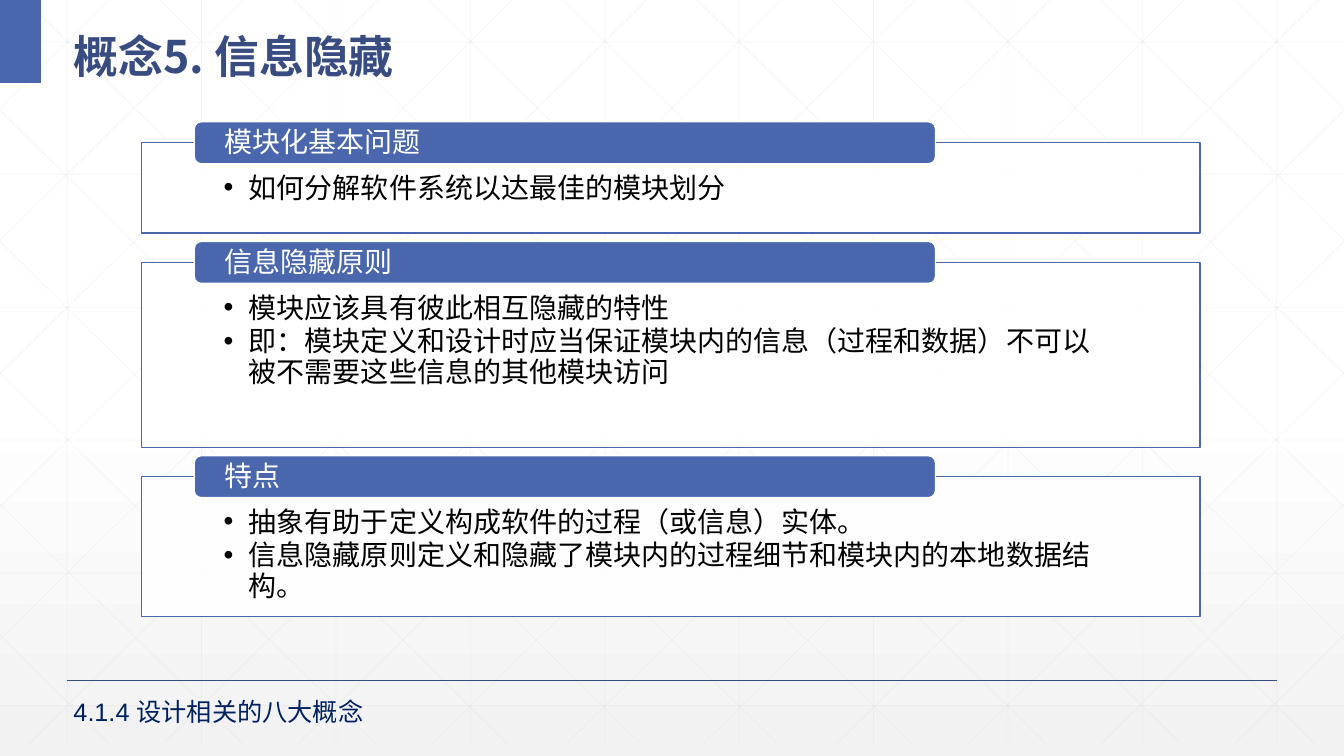
from lxml.etree import SubElement
from pptx import Presentation
from pptx.dml.color import RGBColor
from pptx.enum.shapes import MSO_CONNECTOR, MSO_SHAPE
from pptx.enum.text import MSO_ANCHOR, PP_ALIGN
from pptx.oxml.ns import qn
from pptx.util import Pt

PX = 9525
WIDTH, HEIGHT = 1280, 720
GRID_BOTTOM = 708
SLOPE = 708 / 716

WHITE = RGBColor(0xFF, 0xFF, 0xFF)
BLACK = RGBColor(0x00, 0x00, 0x00)
PALE_GREY = RGBColor(0xF2, 0xF2, 0xF2)
GRID_GREY = RGBColor(0xD9, 0xD9, 0xD9)
BLUE = RGBColor(0x4A, 0x66, 0xAC)
DARK_BLUE = RGBColor(0x38, 0x4C, 0x81)
NAVY = RGBColor(0x00, 0x20, 0x60)

LATIN_FONT = "Arial"
CHINESE_FONT = "Noto Sans CJK SC"


def draw_line(shapes, start, end, color, width, alpha=100):
    """Draw a straight line without shadow; alpha is the opacity in percent."""
    points = [round(value) * PX for value in (*start, *end)]
    line = shapes.add_connector(MSO_CONNECTOR.STRAIGHT, *points)
    line.line.color.rgb = color
    line.line.width = Pt(width)
    properties = line._element.spPr
    if alpha < 100:
        tint = properties.find(".//" + qn("a:srgbClr"))
        SubElement(tint, qn("a:alpha"), val=str(alpha * 1000))
    SubElement(properties, qn("a:effectLst"))


def write_text(box, text, *, size, color, font=LATIN_FONT, bold=False, spacing=None,
               insets=(10, 5, 10, 5), anchor=MSO_ANCHOR.MIDDLE, bullets=False):
    """Fill a box with one paragraph per line; insets are left, top, right, bottom."""
    frame = box.text_frame
    frame.word_wrap = True
    frame.vertical_anchor = anchor
    (frame.margin_left, frame.margin_top,
     frame.margin_right, frame.margin_bottom) = [inset * PX for inset in insets]
    for index, content in enumerate(text.split("\n")):
        para = frame.add_paragraph() if index else frame.paragraphs[0]
        para.alignment = PP_ALIGN.LEFT
        para.line_spacing = spacing or Pt(round(size * 1.1))
        if bullets:
            para.space_after = Pt(2)
            properties = para._p.get_or_add_pPr()
            properties.set("marL", str(24 * PX))
            properties.set("indent", str(-24 * PX))
            SubElement(properties, qn("a:buFont"), typeface=LATIN_FONT)
            SubElement(properties, qn("a:buChar"), char="•")
        span = para.add_run()
        span.text = content
        span.font.size = Pt(size)
        span.font.bold = bold
        span.font.color.rgb = color
        span.font.name = font
        SubElement(span._r.get_or_add_rPr(), qn("a:ea"), typeface=CHINESE_FONT)


deck = Presentation()
deck.slide_width, deck.slide_height = WIDTH * PX, HEIGHT * PX
page = deck.slides.add_slide(deck.slide_layouts[6])

# Background
backdrop = page.background.fill
backdrop.gradient()
backdrop.gradient_angle = 270
for stop, (position, color) in zip(backdrop.gradient_stops, [(0.53, WHITE), (1, PALE_GREY)]):
    stop.position = position
    stop.color.rgb = color

# Faint grid: verticals, horizontals, then diagonals with their mirror images
grid_lines = [((x, 0), (x, GRID_BOTTOM)) for x in range(64, WIDTH, 128)]
grid_lines += [((0, 40 + 126.4 * row), (WIDTH, 40 + 126.4 * row)) for row in range(6)]
diagonal_starts = [(x, 0) for x in range(24, WIDTH, 128)]
diagonal_starts += [(0, y) for y in range(105, GRID_BOTTOM, 125)]
for x, y in diagonal_starts:
    run = min(WIDTH - x, (GRID_BOTTOM - y) / SLOPE)
    end_x, end_y = x + run, y + run * SLOPE
    grid_lines += [((x, y), (end_x, end_y)), ((WIDTH - x, y), (WIDTH - end_x, end_y))]
grid = page.shapes.add_group_shape()
for start, end in grid_lines:
    draw_line(grid.shapes, start, end, GRID_GREY, 0.5, alpha=25)

# Title and footer rule
draw_line(page.shapes, (64, 648), (1216, 648), DARK_BLUE, 1)
corner = page.shapes.add_shape(MSO_SHAPE.RECTANGLE, 0, 0, 39 * PX, 79 * PX)
corner.shadow.inherit = False
corner.fill.solid()
corner.fill.fore_color.rgb = BLUE
corner.line.fill.background()
title = page.shapes.add_textbox(60 * PX, 10 * PX, 1192 * PX, 70 * PX)
write_text(title, "概念5. 信息隐藏", size=32, color=DARK_BLUE, font=CHINESE_FONT,
           bold=True, spacing=1.3)

# Panels, each with a heading bar over its top edge
sections = [
    ("模块化基本问题", 86, "如何分解软件系统以达最佳的模块划分"),
    ("信息隐藏原则", 176,
     "模块应该具有彼此相互隐藏的特性\n"
     "即：模块定义和设计时应当保证模块内的信息（过程和数据）不可以被不需要这些信息的其他模块访问"),
    ("特点", 133,
     "抽象有助于定义构成软件的过程（或信息）实体。\n"
     "信息隐藏原则定义和隐藏了模块内的过程细节和模块内的本地数据结构。"),
]
top = 136
for heading, height, points in sections:
    panel = page.shapes.add_shape(MSO_SHAPE.RECTANGLE, 135 * PX, top * PX, 1008 * PX, height * PX)
    bar = page.shapes.add_shape(MSO_SHAPE.ROUNDED_RECTANGLE,
                                185 * PX, (top - 20) * PX, 706 * PX, 40 * PX)
    for shape, fill, outline in [(panel, WHITE, BLUE), (bar, BLUE, WHITE)]:
        shape.shadow.inherit = False
        shape.fill.solid()
        shape.fill.fore_color.rgb = fill
        shape.line.color.rgb = outline
        shape.line.width = Pt(1)
    panel_tint = panel._element.spPr.find(qn("a:solidFill")).find(qn("a:srgbClr"))
    SubElement(panel_tint, qn("a:alpha"), val="90000")
    write_text(panel, points, size=20, color=BLACK, insets=(78, 29, 78, 15),
               anchor=MSO_ANCHOR.TOP, bullets=True)
    write_text(bar, heading, size=20, color=WHITE, insets=(27, 0, 27, 0))
    top += height + 28

# Footer
footer = page.shapes.add_textbox(60 * PX, 660 * PX, 363 * PX, 38 * PX)
write_text(footer, "4.1.4 设计相关的八大概念", size=18, color=NAVY)

deck.save("out.pptx")
